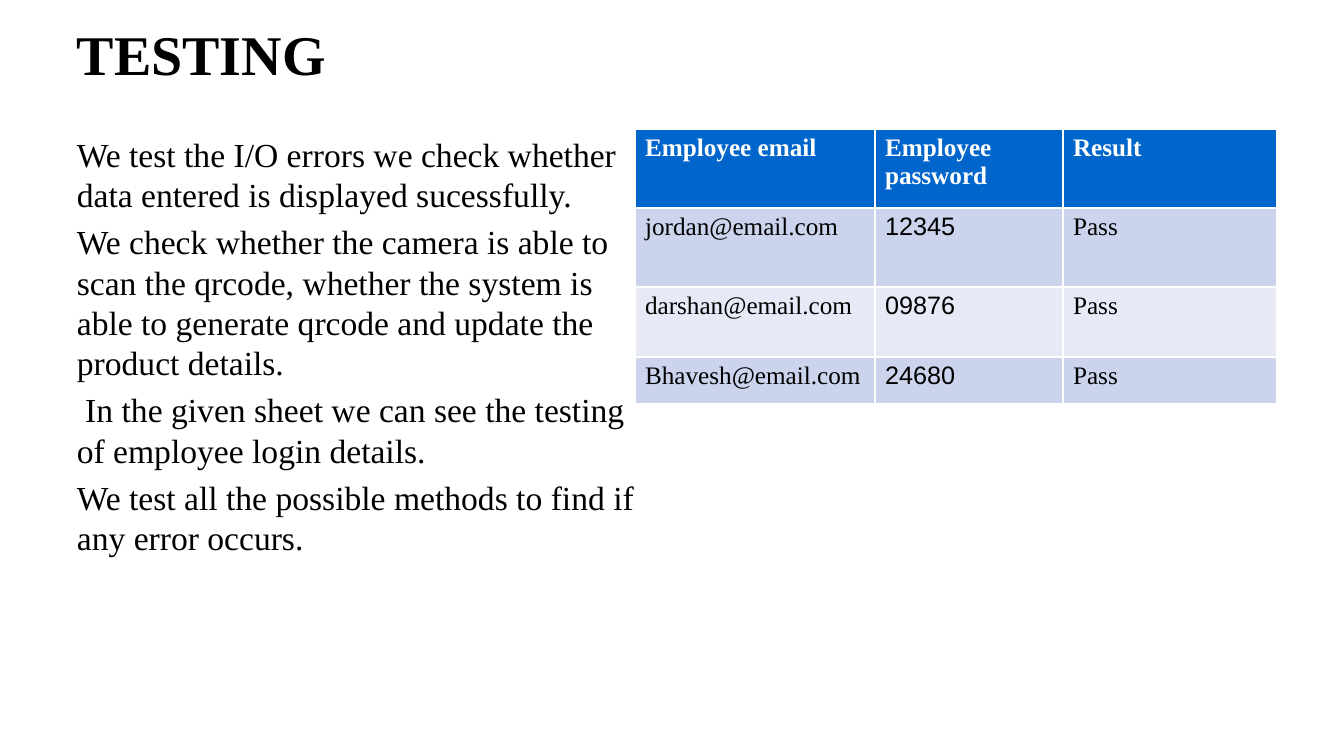
from dataclasses import dataclass

from pptx import Presentation
from pptx.dml.color import RGBColor as RGB
from pptx.enum.text import MSO_ANCHOR as Anchor
from pptx.util import Emu, Pt

# Content
HEADING = "TESTING"
CHECKS = [
    "We test the I/O errors we check whether data entered is displayed sucessfully.",
    "We check whether the camera is able to scan the qrcode, whether the system is "
    "able to generate qrcode and update the product details.",
    " In the given sheet we can see the testing of employee login details.",
    "We test all the possible methods to find if any error occurs.",
]
LOGINS = [
    ("Employee email", "Employee password", "Result"),
    ("jordan@email.com", "12345", "Pass"),
    ("darshan@email.com", "09876", "Pass"),
    ("Bhavesh@email.com", "24680", "Pass"),
]

# Layout in px: left, top, width, height
SLIDE_SIZE = (1344, 756)
HEADING_BOX = (67, 21, 1210, 65)
CHECKS_BOX = (67, 129, 594, 546)
LOGINS_AT = (635, 129)
COLUMN_WIDTHS = (240, 188, 214)
ROW_HEIGHTS = (79, 79, 70, 47)
PASSWORD_COLUMN = 1


@dataclass(frozen=True)
class Theme:
    serif: str = "Times New Roman"
    sans: str = "Arial"
    ink: RGB = RGB(0, 0, 0)
    header_ink: RGB = RGB(255, 255, 255)
    header_fill: RGB = RGB(0x00, 0x66, 0xCC)
    bands: tuple = (RGB(0xCC, 0xD3, 0xEC), RGB(0xE7, 0xEA, 0xF6))
    heading_size: int = 40
    check_size: int = 24
    table_size: int = 18
    check_gap: float = 4.8


THEME = Theme()


def px(length):
    return Emu(round(length * 914400 / 100.8))


def style(paragraph, size, color=THEME.ink, bold=False, face=THEME.serif):
    for run in paragraph.runs:
        font = run.font
        font.name, font.size, font.bold = face, Pt(size), bold
        font.color.rgb = color


def add_text(slide, box, text):
    frame = slide.shapes.add_textbox(*map(px, box)).text_frame
    frame.word_wrap = True
    frame.text = text
    return frame


def add_logins(slide):
    size = (sum(COLUMN_WIDTHS), sum(ROW_HEIGHTS))
    logins = slide.shapes.add_table(
        len(LOGINS), len(COLUMN_WIDTHS), *map(px, LOGINS_AT + size)).table
    for column, width in zip(logins.columns, COLUMN_WIDTHS):
        column.width = px(width)
    for r, (entry, height) in enumerate(zip(LOGINS, ROW_HEIGHTS)):
        logins.rows[r].height = px(height)
        header = r == 0
        for c, value in enumerate(entry):
            cell = logins.cell(r, c)
            cell.text_frame.text = value
            cell.fill.solid()
            cell.fill.fore_color.rgb = (
                THEME.header_fill if header else THEME.bands[(r - 1) % 2])
            sans = c == PASSWORD_COLUMN and not header
            style(cell.text_frame.paragraphs[0], THEME.table_size,
                  THEME.header_ink if header else THEME.ink, header,
                  THEME.sans if sans else THEME.serif)


def main():
    deck = Presentation()
    deck.slide_width, deck.slide_height = map(px, SLIDE_SIZE)
    slide = deck.slides.add_slide(deck.slide_layouts[6])

    # Heading
    heading = add_text(slide, HEADING_BOX, HEADING)
    heading.vertical_anchor = Anchor.MIDDLE
    style(heading.paragraphs[0], THEME.heading_size, bold=True)

    # Checks on the left
    checks = add_text(slide, CHECKS_BOX, "\n".join(CHECKS))
    for check in checks.paragraphs:
        check.space_before = Pt(THEME.check_gap)
        style(check, THEME.check_size)

    # Login table on the right
    add_logins(slide)
    deck.save("out.pptx")


if __name__ == "__main__":
    main()
